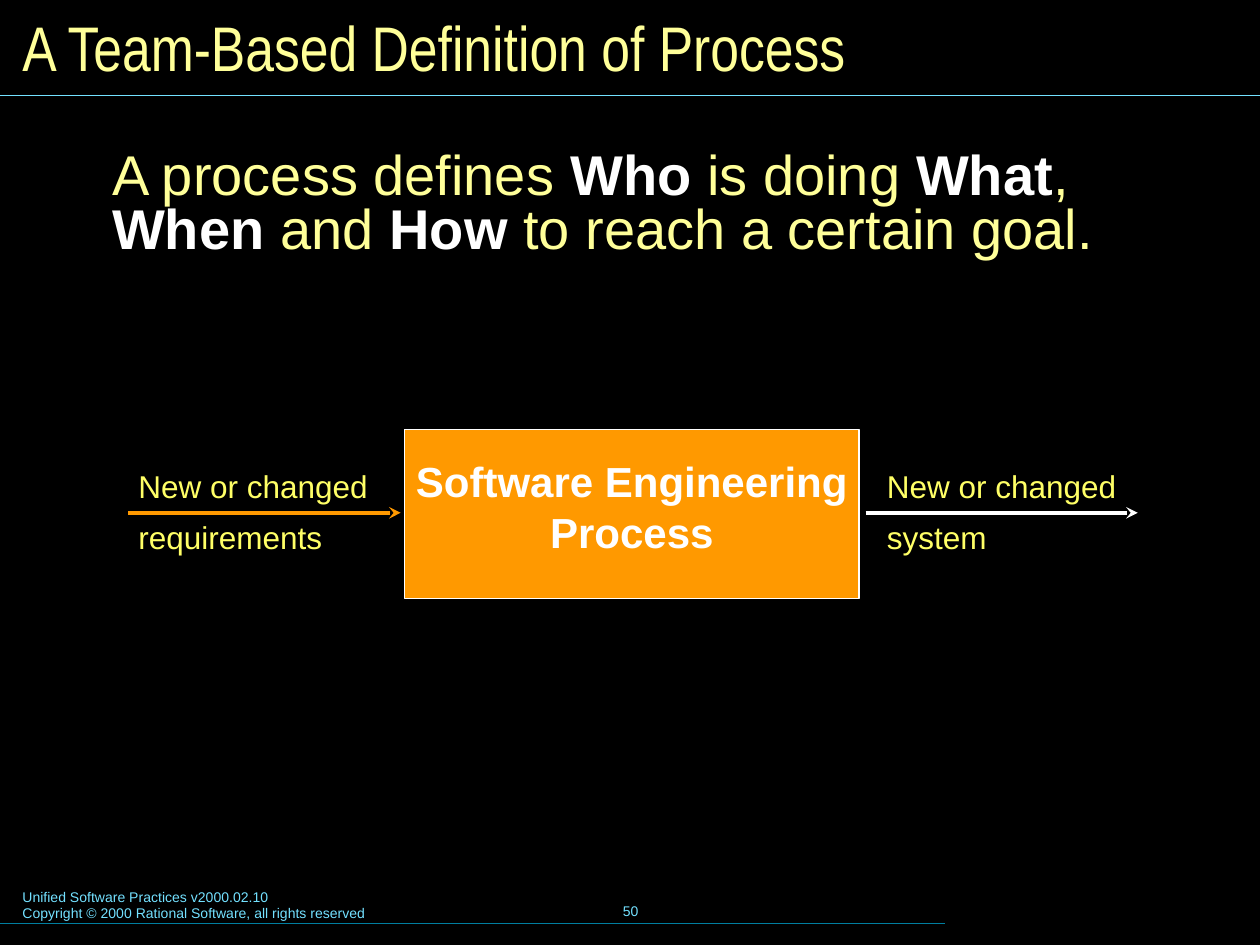
from pptx import Presentation
from pptx.dml.color import RGBColor
from pptx.enum.shapes import MSO_CONNECTOR, MSO_SHAPE
from pptx.enum.text import MSO_ANCHOR, PP_ALIGN
from pptx.oxml.ns import qn
from pptx.util import Inches, Pt
from lxml.etree import SubElement

CREAM, LEMON, WHITE = "FFFF99", "FFFF66", "FFFFFF"
ORANGE, SKY, TEAL = "FF9900", "73E1FF", "007E9F"


def color(code):
    return RGBColor.from_string(code)


class Deck:
    font = "Arial"

    def __init__(self, width, height):
        self.file = Presentation()
        self.file.slide_width = Inches(width)
        self.file.slide_height = Inches(height)
        self.slide = self.file.slides.add_slide(self.file.slide_layouts[6])
        back = self.slide.background.fill
        back.solid()
        back.fore_color.rgb = color("000000")

    def fill(self, frame, lines, size, ink, font=None, bold=False,
             align=PP_ALIGN.LEFT, lead=None, gap=0):
        """Fill a frame; each line is a list of (text, strong) runs or a string."""
        for i, line in enumerate(lines):
            para = frame.add_paragraph() if i else frame.paragraphs[0]
            para.alignment = align
            if lead:
                para.line_spacing = lead
            if i and gap:
                para.space_before = Pt(gap)
            runs = [(line, False)] if isinstance(line, str) else line
            for text, strong in runs:
                run = para.add_run()
                run.text = text
                run.font.name = font or self.font
                run.font.size = Pt(size)
                run.font.bold = bold or strong
                run.font.color.rgb = color(WHITE if strong else ink)

    def text(self, box, lines, size, ink, anchor=MSO_ANCHOR.TOP,
             wrap=True, pad=0.1, **style):
        frame = self.slide.shapes.add_textbox(*map(Inches, box)).text_frame
        frame.word_wrap = wrap
        frame.vertical_anchor = anchor
        frame.margin_left = frame.margin_right = Inches(pad)
        frame.margin_top = frame.margin_bottom = Inches(pad / 2)
        self.fill(frame, lines, size, ink, **style)

    def block(self, box, lines, size, back, ink, **style):
        shape = self.slide.shapes.add_shape(MSO_SHAPE.RECTANGLE, *map(Inches, box))
        shape.shadow.inherit = False
        shape.fill.solid()
        shape.fill.fore_color.rgb = color(back)
        shape.line.color.rgb = color(ink)
        shape.line.width = Pt(1)
        shape.text_frame.word_wrap = False
        shape.text_frame.vertical_anchor = MSO_ANCHOR.MIDDLE
        self.fill(shape.text_frame, lines, size, ink, **style)

    def rule(self, left, right, y, ink, width=0.75, arrow=False):
        line = self.slide.shapes.add_connector(
            MSO_CONNECTOR.STRAIGHT, Inches(left), Inches(y), Inches(right), Inches(y))
        line.line.color.rgb = color(ink)
        line.line.width = Pt(width)
        props = line.element.spPr
        if arrow:
            SubElement(props.find(qn("a:ln")), qn("a:tailEnd"), type="stealth")
        SubElement(props, qn("a:effectLst"))


def main():
    deck = Deck(10, 7.5)

    deck.text((0.08, 7, 5.1, 0.37),
              ["Unified Software Practices v2000.02.10",
               "Copyright © 2000 Rational Software, all rights reserved"], 8, SKY)
    deck.text((3.42, 6.98, 3.17, 0.5), ["50"], 8, SKY,
              anchor=MSO_ANCHOR.MIDDLE, align=PP_ALIGN.CENTER)
    deck.rule(0, 7.5, 7.33, TEAL)
    deck.rule(0, 10, 0.76, SKY)

    deck.text((0.08, 0.08, 9.84, 0.58), ["A Team-Based Definition of Process"],
              36, CREAM, anchor=MSO_ANCHOR.MIDDLE, font="Arial Narrow")
    claim = [("A process defines ", False), ("Who", True), (" is doing ", False),
             ("What", True), (", ", False), ("When", True), (" and ", False),
             ("How ", True), ("to reach a certain goal.", False)]
    deck.text((0.77, 1.15, 8.92, 5.52), [claim], 32, CREAM, pad=0.12, lead=0.8)

    tight = {"lead": Pt(20), "gap": 9}
    deck.block((3.21, 3.41, 3.61, 1.34), ["Software Engineering", "Process"],
               24, ORANGE, WHITE, bold=True, align=PP_ALIGN.CENTER, **tight)
    flows = [(1, 1.02, "requirements", ORANGE), (6.94, 6.87, "system", WHITE)]
    for left, start, item, ink in flows:
        deck.text((left, 3.68, 2.05, 0.78), ["New or changed", item],
                  18, LEMON, wrap=False, **tight)
        deck.rule(start, start + 2.16, 4.07, ink, 2.25, arrow=True)

    deck.file.save("out.pptx")


if __name__ == "__main__":
    main()
